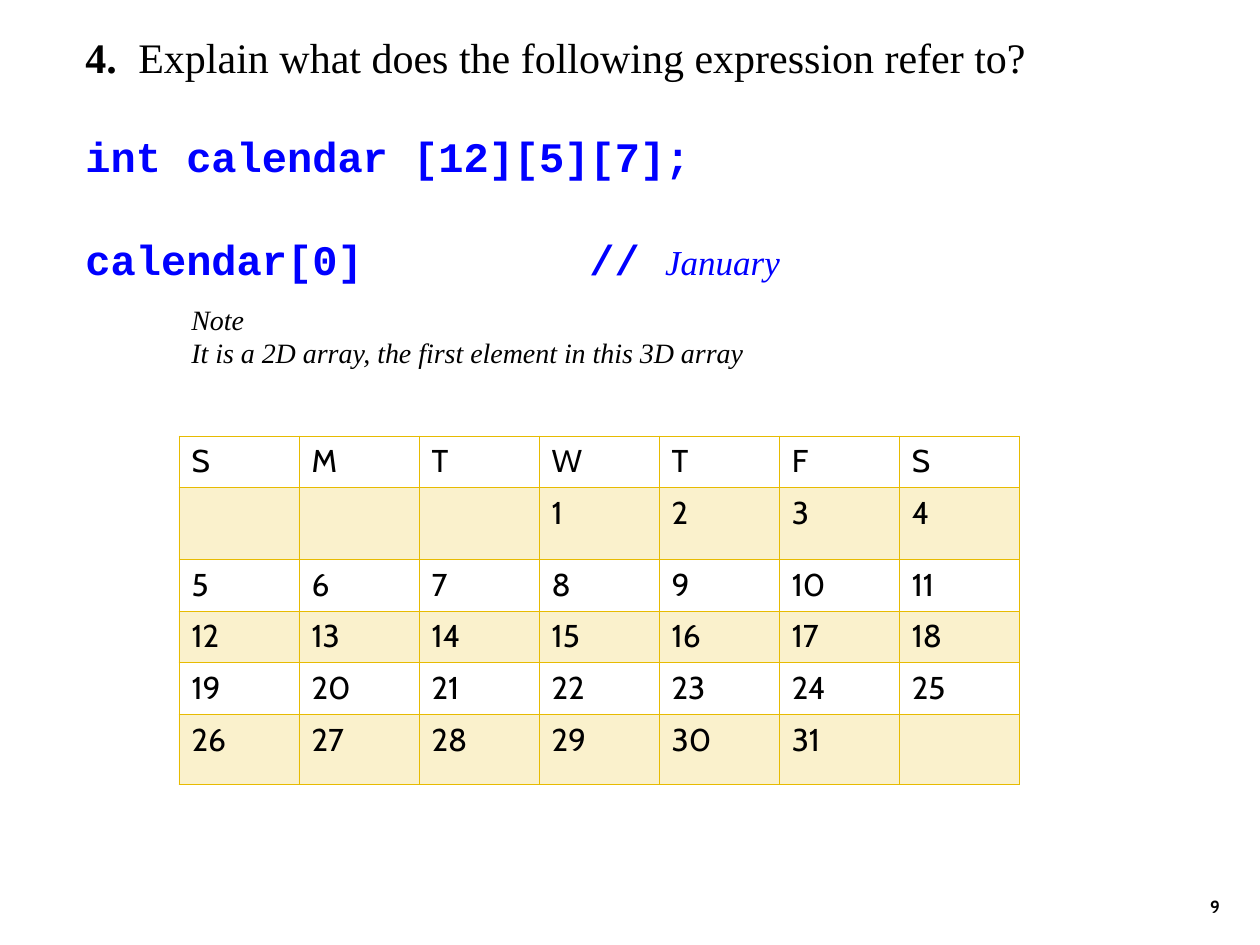
"""Build a slide explaining one month of a three-dimensional calendar array."""
from dataclasses import dataclass

from lxml.etree import SubElement
from pptx import Presentation
from pptx.dml.color import RGBColor
from pptx.enum.text import MSO_ANCHOR, PP_ALIGN
from pptx.oxml.ns import qn
from pptx.slide import Slide
from pptx.table import _Cell
from pptx.util import Inches, Pt

SERIF, MONO, SANS = "Times New Roman", "Courier New", "Cabin"
BLACK, BLUE, GOLD = "000000", "0000FF", "E7BB01"
ROW_HEIGHTS = [0.41, 0.57, 0.41, 0.41, 0.41, 0.56]
COL_WIDTH = 6.67 / 7
FIRST_WEEKDAY, DAYS = 3, 31


@dataclass
class Box:
    left: float
    top: float
    width: float
    height: float
    inset_top: float = 0.05
    anchor: MSO_ANCHOR = MSO_ANCHOR.TOP


def rgb(value: str) -> RGBColor:
    return RGBColor.from_string(value)


def add_run(p, text: str, *, size: float, font: str = SERIF, color: str = BLACK,
            bold: bool = False, italic: bool = False) -> None:
    r = p.add_run()
    r.text = text
    r.font.name = font
    r.font.size = Pt(size)
    r.font.bold = bold
    r.font.italic = italic
    r.font.color.rgb = rgb(color)


def add_box(s: Slide, box: Box):
    sp = s.shapes.add_textbox(Inches(box.left), Inches(box.top),
                              Inches(box.width), Inches(box.height))
    tf = sp.text_frame
    tf.word_wrap = True
    tf.margin_top = Inches(box.inset_top)
    tf.vertical_anchor = box.anchor
    return tf


def add_tab_stop(p, position: float) -> None:
    tabs = SubElement(p._p.get_or_add_pPr(), qn("a:tabLst"))
    SubElement(tabs, qn("a:tab"), pos=str(Inches(position)), algn="l")


def add_question(s: Slide) -> None:
    tf = add_box(s, Box(0.58, 0.17, 9, 2.37, inset_top=0.08))
    question = tf.paragraphs[0]
    add_tab_stop(question, 0.42)
    add_run(question, "4.\t", size=24, bold=True)
    add_run(question, "Explain what does the following expression refer to?", size=24)

    declaration = tf.add_paragraph()
    declaration.space_before = Pt(28)
    add_run(declaration, "int calendar [12][5][7];", size=24, font=MONO, color=BLUE, bold=True)

    expression = tf.add_paragraph()
    expression.space_before = Pt(30)
    add_tab_stop(expression, 4)
    add_run(expression, "calendar[0]\t// ", size=24, font=MONO, color=BLUE, bold=True)
    add_run(expression, "January", size=20, color=BLUE, italic=True)


def add_note(s: Slide) -> None:
    tf = add_box(s, Box(1.42, 2.33, 7.33, 0.64, inset_top=0.07))
    add_run(tf.paragraphs[0], "Note", size=16, italic=True)
    add_run(tf.add_paragraph(), "It is a 2D array, the first element in this 3D array",
            size=16, italic=True)


def format_cell(cell: _Cell, shaded: bool) -> None:
    tcPr = cell._tc.get_or_add_tcPr()
    for side in ("lnL", "lnR", "lnT", "lnB"):
        ln = SubElement(tcPr, qn(f"a:{side}"), w=str(Pt(0.45)))
        SubElement(SubElement(ln, qn("a:solidFill")), qn("a:srgbClr"), val=GOLD)
    if shaded:
        cell.fill.solid()
        cell.fill.fore_color.rgb = rgb(GOLD)
        color = tcPr.find(f"{qn('a:solidFill')}/{qn('a:srgbClr')}")
        SubElement(color, qn("a:alpha"), val="20000")
    else:
        cell.fill.background()


def add_calendar(s: Slide) -> None:
    frame = s.shapes.add_table(len(ROW_HEIGHTS), 7, Inches(1.42), Inches(3.46),
                               Inches(7 * COL_WIDTH), Inches(sum(ROW_HEIGHTS)))
    table = frame.table
    table.first_row = table.horz_banding = False
    for column in table.columns:
        column.width = Inches(COL_WIDTH)
    for row, height in zip(table.rows, ROW_HEIGHTS):
        row.height = Inches(height)
    labels = list("SMTWTFS") + [""] * FIRST_WEEKDAY + [str(d) for d in range(1, DAYS + 1)] + [""]
    for i, label in enumerate(labels):
        row, col = divmod(i, 7)
        cell = table.cell(row, col)
        format_cell(cell, shaded=row % 2 == 1)
        if label:
            add_run(cell.text_frame.paragraphs[0], label, size=18, font=SANS)


def add_page_number(s: Slide) -> None:
    tf = add_box(s, Box(7.7, 6.83, 2.08, 0.5, anchor=MSO_ANCHOR.BOTTOM))
    p = tf.paragraphs[0]
    p.alignment = PP_ALIGN.RIGHT
    add_run(p, "9", size=10, font=SANS, bold=True)


def main() -> None:
    prs = Presentation()
    prs.slide_width, prs.slide_height = Inches(10), Inches(7.5)
    s = prs.slides.add_slide(prs.slide_layouts[6])
    add_page_number(s)
    add_question(s)
    add_calendar(s)
    add_note(s)
    prs.save("out.pptx")


if __name__ == "__main__":
    main()
